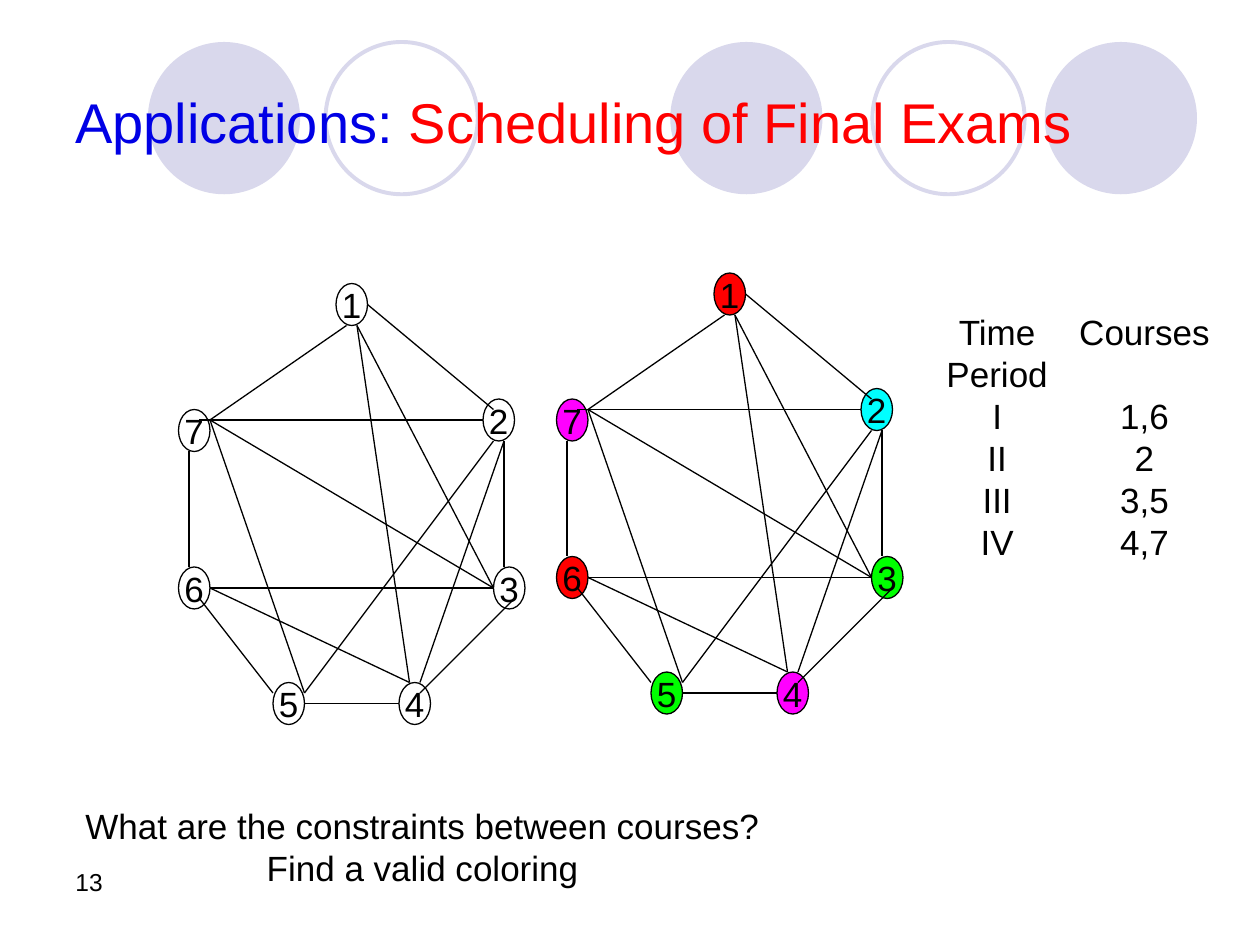
import pptx
import pptx.dml.color
import pptx.enum.shapes
import pptx.enum.text
import pptx.util
import lxml.etree

Pt = pptx.util.Pt
Align = pptx.enum.text.PP_ALIGN
Anchor = pptx.enum.text.MSO_ANCHOR

COLORS = {
    "black": "000000", "lavender": "D9D8EC", "blue": "0000E5", "red": "FF0000",
    "magenta": "FF00FF", "cyan": "00FFFF", "green": "00FF00",
}
FONT = "Arial"
NODE_SIZE = (18, 24)
LINE_HEIGHT = 24

# Exam graph: left and top of each course node, then the conflict lines
NODES = {
    "1": (192, 162), "7": (102, 234), "2": (276, 228), "3": (282, 324),
    "6": (102, 324), "5": (156, 390), "4": (228, 390),
}
EDGES = [
    (210, 174, 282, 234), (204, 186, 282, 336), (204, 186, 234, 390),
    (282, 252, 174, 396), (276, 240, 114, 240), (108, 258, 108, 324),
    (120, 336, 282, 336), (174, 396, 120, 240), (234, 390, 120, 336),
    (120, 240, 198, 186), (288, 252, 288, 324), (288, 252, 240, 390),
    (228, 402, 174, 402), (156, 396, 114, 342), (240, 396, 294, 342),
    (282, 336, 120, 240),
]
COLORING = {
    "1": "red", "6": "red", "2": "cyan", "3": "green", "5": "green",
    "4": "magenta", "7": "magenta",
}


def rgb(name):
    return pptx.dml.color.RGBColor.from_string(COLORS[name])


def add_span(para, text, size, color="black"):
    span = para.add_run()
    span.text = text
    span.font.name = FONT
    span.font.size = Pt(size)
    span.font.color.rgb = rgb(color)


def add_ellipse(page, left, top, width, height, fill=None, line=None, weight=0.75):
    oval = page.shapes.add_shape(
        pptx.enum.shapes.MSO_SHAPE.OVAL, Pt(left), Pt(top), Pt(width), Pt(height))
    oval.shadow.inherit = False
    if fill:
        oval.fill.solid()
        oval.fill.fore_color.rgb = rgb(fill)
    else:
        oval.fill.background()
    if line:
        oval.line.color.rgb = rgb(line)
        oval.line.width = Pt(weight)
    else:
        oval.line.fill.background()
    return oval


def add_node(page, label, left, top, fill):
    node = add_ellipse(page, left, top, *NODE_SIZE, fill=fill, line="black")
    frame = node.text_frame
    frame.word_wrap = False
    frame.vertical_anchor = Anchor.MIDDLE
    para = frame.paragraphs[0]
    para.alignment = Align.CENTER
    para.line_spacing = Pt(LINE_HEIGHT)
    add_span(para, label, 20)


def add_edge(page, x1, y1, x2, y2):
    edge = page.shapes.add_connector(
        pptx.enum.shapes.MSO_CONNECTOR.STRAIGHT, Pt(x1), Pt(y1), Pt(x2), Pt(y2))
    edge.line.color.rgb = rgb("black")
    edge.line.width = Pt(0.75)
    lxml.etree.SubElement(edge._element.spPr, pptx.oxml.ns.qn("a:effectLst"))


def add_graph(page, dx=0, dy=0, coloring=None):
    for label, (left, top) in NODES.items():
        add_node(page, label, left + dx, top + dy, (coloring or {}).get(label))
    for x1, y1, x2, y2 in EDGES:
        add_edge(page, x1 + dx, y1 + dy, x2 + dx, y2 + dy)


def add_box(page, left, top, width, height):
    box = page.shapes.add_textbox(Pt(left), Pt(top), Pt(width), Pt(height))
    box.text_frame.word_wrap = True
    return box.text_frame


def add_centered_lines(page, left, top, width, height, lines):
    frame = add_box(page, left, top, width, height)
    frame.word_wrap = False
    for index, text in enumerate(lines):
        para = frame.add_paragraph() if index else frame.paragraphs[0]
        para.alignment = Align.CENTER
        para.line_spacing = Pt(LINE_HEIGHT)
        add_span(para, text, 20)
    return frame


def main():
    deck = pptx.Presentation()
    deck.slide_width, deck.slide_height = Pt(720), Pt(540)
    page = deck.slides.add_slide(deck.slide_layouts[6])

    # Background circles: solid discs, then rings
    for left in (383, 597, 84.5):
        add_ellipse(page, left, 24, 87, 87, fill="lavender")
    for left in (498.5, 186):
        add_ellipse(page, left, 24, 87, 87, line="lavender", weight=2.25)

    # Slide number and title
    number = add_box(page, 36, 492, 168, 36)
    add_span(number.paragraphs[0], "13", 14)
    title = add_box(page, 36, 24, 648, 90)
    title.vertical_anchor = Anchor.MIDDLE
    add_span(title.paragraphs[0], "Applications: ", 32, "blue")
    add_span(title.paragraphs[0], "Scheduling of Final Exams", 32, "red")

    # Plain graph, question, coloured graph
    add_graph(page)
    add_centered_lines(page, 31.5, 456, 420, 55.2, [
        "What are the constraints between courses?", "Find a valid coloring"])
    add_graph(page, 216, -6, COLORING)

    # Schedule columns; the one-line heading leaves room for the two-line one
    add_centered_lines(page, 532, 174, 75.6, 151.2, [
        "Time", "Period", "I", "II", "III", "IV"])
    courses = add_centered_lines(page, 609, 174, 90, 151.2, [
        "Courses", "1,6", "2", "3,5", "4,7"])
    courses.paragraphs[0].space_after = Pt(LINE_HEIGHT)

    deck.save("out.pptx")


if __name__ == "__main__":
    main()
